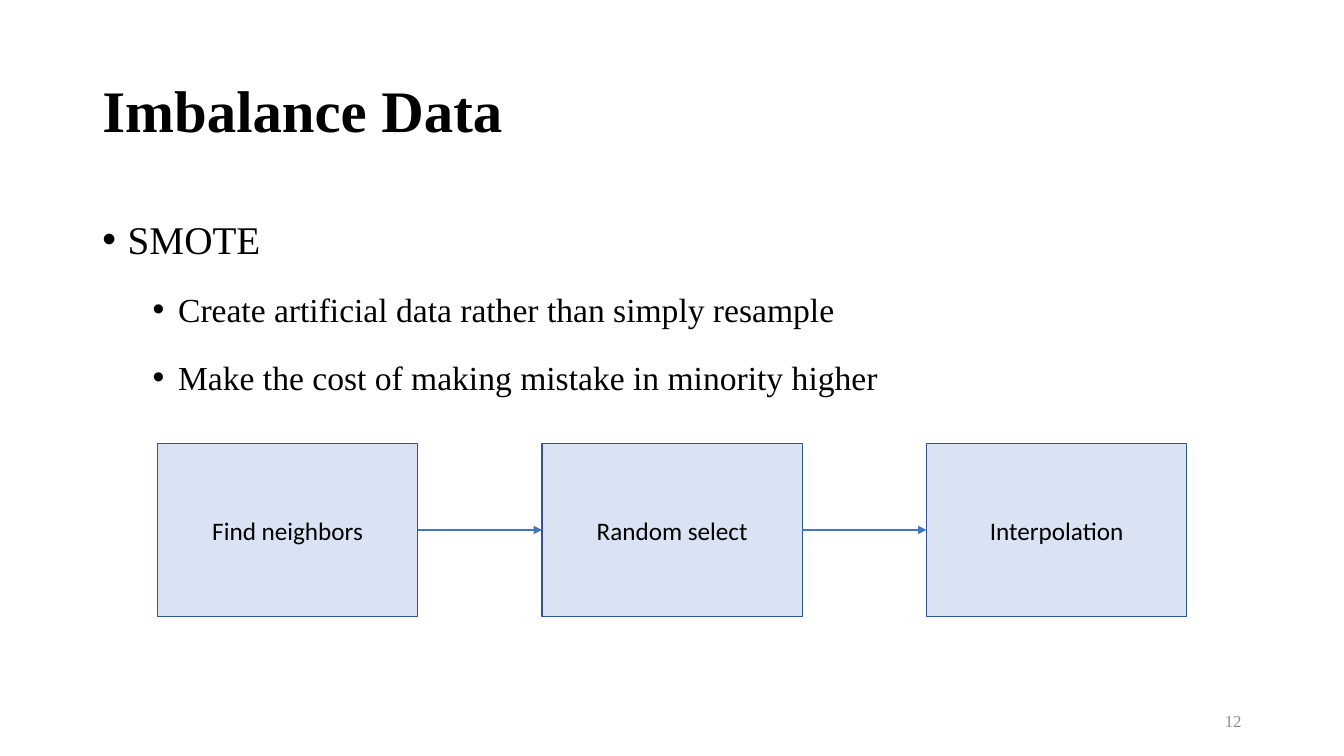
from lxml.etree import SubElement
from pptx import Presentation
from pptx.dml.color import RGBColor
from pptx.enum.shapes import MSO_CONNECTOR, MSO_SHAPE
from pptx.enum.text import MSO_ANCHOR, PP_ALIGN
from pptx.oxml.ns import qn
from pptx.util import Cm, Pt

COLORS = {"text": "000000", "page": "8C8C8C", "fill": "DAE3F3",
          "edge": "325491", "arrow": "4472C4"}
SERIF, SANS = "Times New Roman", "Calibri"


def color(name):
    return RGBColor.from_string(COLORS[name])


def style(para, size, face=SERIF, tint="text", bold=False):
    font = para.font
    font.size, font.name, font.bold = Pt(size), face, bold
    font.color.rgb = color(tint)


def add_frame(slide, box, anchor):
    frame = slide.shapes.add_textbox(*map(Cm, box)).text_frame
    frame.word_wrap = True
    frame.vertical_anchor = anchor
    return frame


def add_title(slide, box, text):
    para = add_frame(slide, box, MSO_ANCHOR.MIDDLE).paragraphs[0]
    para.text = text
    para.line_spacing = 0.9
    style(para, 42, bold=True)


def add_list(slide, box, items):
    frame = add_frame(slide, box, MSO_ANCHOR.TOP)
    for i, (level, text) in enumerate(items):
        para = frame.add_paragraph() if i else frame.paragraphs[0]
        para.text = text
        para.level = level
        para.line_spacing = 1.5
        para.space_before = Pt(5 if level else 10)
        # Bullet with hanging indent
        props = para._p.get_or_add_pPr()
        props.set("marL", str(Cm(0.64 + 1.27 * level)))
        props.set("indent", str(Cm(-0.64)))
        SubElement(props, qn("a:buFont")).set("typeface", "Arial")
        SubElement(props, qn("a:buChar")).set("char", "•")
        style(para, 24 if level else 28)


def add_step(slide, box, text):
    step = slide.shapes.add_shape(MSO_SHAPE.RECTANGLE, *map(Cm, box))
    step.shadow.inherit = False
    step.fill.solid()
    step.fill.fore_color.rgb = color("fill")
    step.line.color.rgb = color("edge")
    step.line.width = Pt(1)
    step.text_frame.vertical_anchor = MSO_ANCHOR.MIDDLE
    para = step.text_frame.paragraphs[0]
    para.text = text
    para.alignment = PP_ALIGN.CENTER
    style(para, 18, SANS)
    return step


def add_arrow(slide, start, end):
    arrow = slide.shapes.add_connector(MSO_CONNECTOR.STRAIGHT, 0, 0, 0, 0)
    arrow.begin_connect(start, 3)
    arrow.end_connect(end, 1)
    arrow.line.color.rgb = color("arrow")
    arrow.line.width = Pt(1.5)
    SubElement(arrow.line._get_or_add_ln(), qn("a:tailEnd")).set("type", "triangle")
    SubElement(arrow._element.spPr, qn("a:effectLst"))


def add_flow(slide, box, labels, gap):
    left, top, width, height = box
    count = len(labels)
    wide = (width - gap * (count - 1)) / count
    steps = [add_step(slide, (left + i * (wide + gap), top, wide, height), label)
             for i, label in enumerate(labels)]
    for start, end in zip(steps, steps[1:]):
        add_arrow(slide, start, end)


def add_number(slide, box, text):
    para = add_frame(slide, box, MSO_ANCHOR.MIDDLE).paragraphs[0]
    para.text = text
    para.alignment = PP_ALIGN.RIGHT
    style(para, 12, tint="page")


def main():
    deck = Presentation()
    deck.slide_width, deck.slide_height = Cm(33.87), Cm(19.05)
    slide = deck.slides.add_slide(deck.slide_layouts[6])

    # Heading and points
    add_title(slide, (2.33, 1.01, 29.21, 3.68), "Imbalance Data")
    add_list(slide, (2.33, 4.7, 29.21, 12.47), [
        (0, "SMOTE"),
        (1, "Create artificial data rather than simply resample"),
        (1, "Make the cost of making mistake in minority higher"),
    ])

    # Process steps
    add_flow(slide, (3.97, 11.18, 25.94, 4.35),
             ["Find neighbors", "Random select", "Interpolation"], 3.13)

    # Page number
    add_number(slide, (23.92, 17.65, 7.62, 1.02), "12")

    deck.save("out.pptx")


if __name__ == "__main__":
    main()
